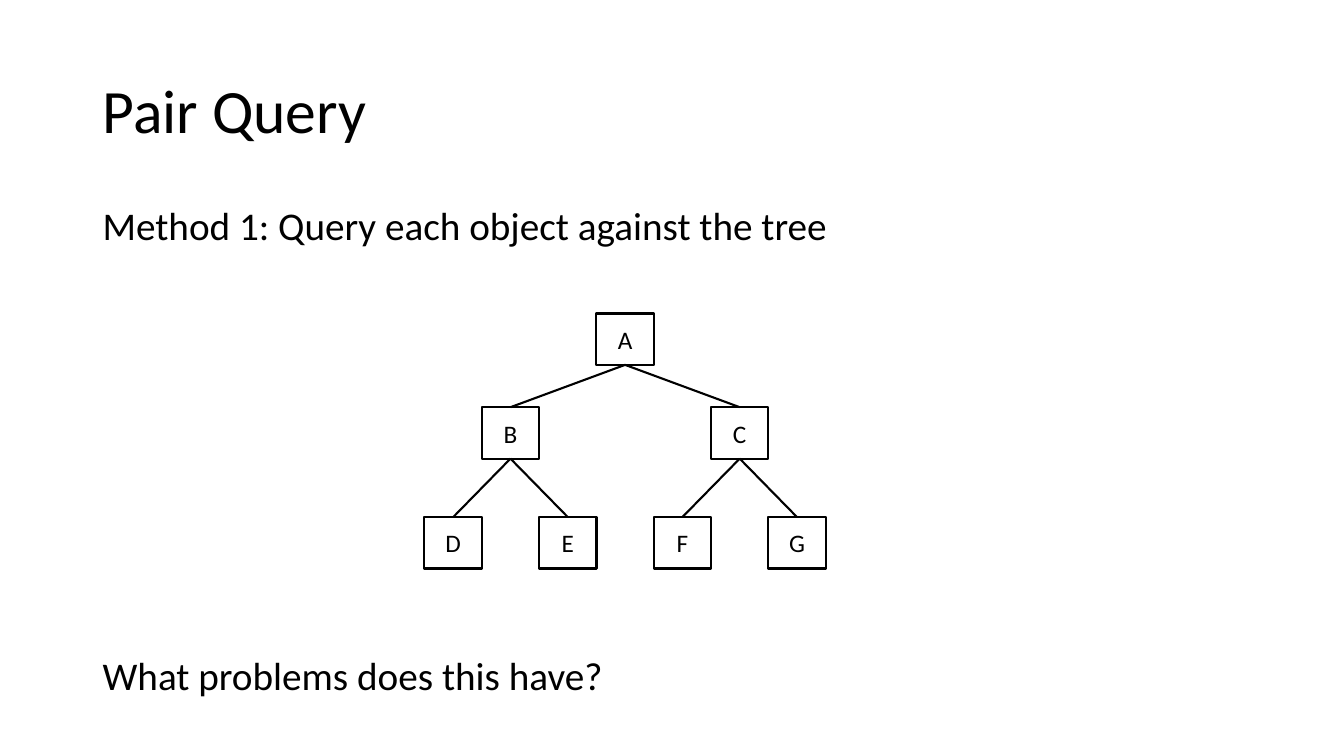
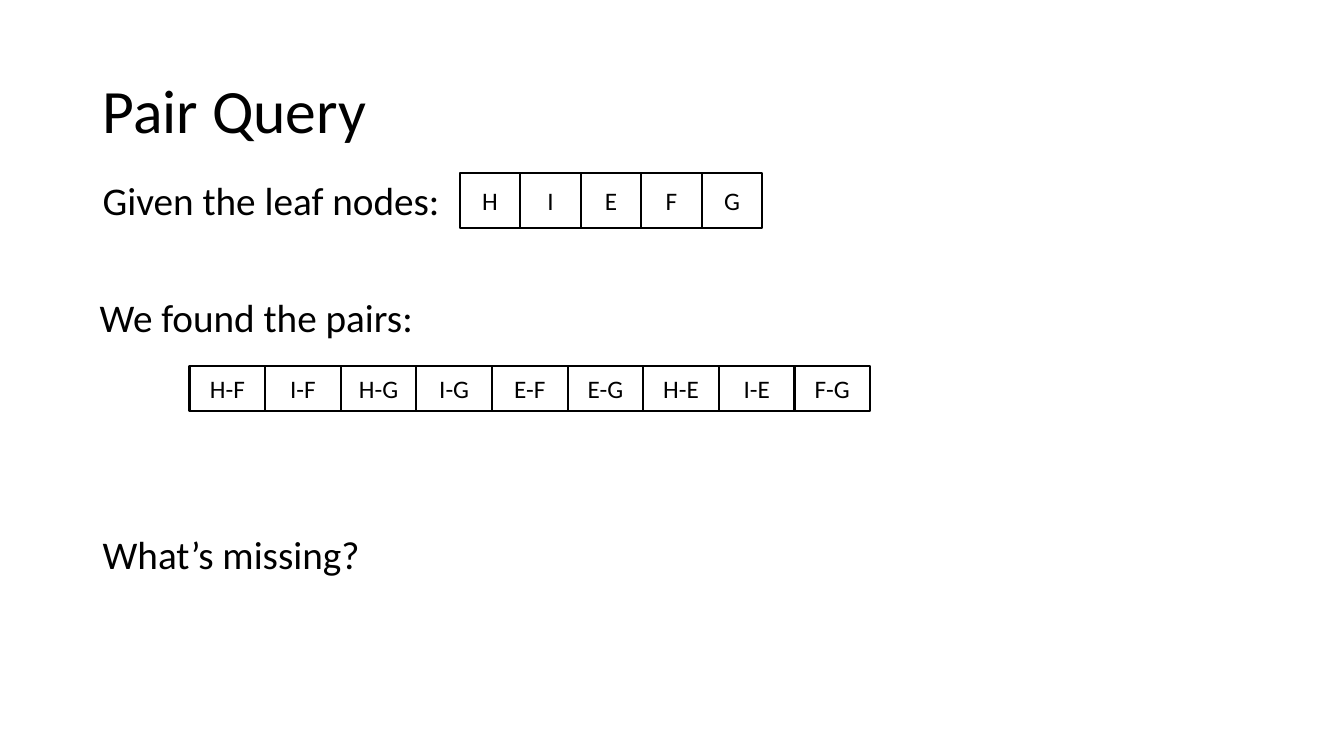
from lxml.etree import SubElement
from pptx import Presentation
from pptx.dml.color import RGBColor
from pptx.enum.shapes import MSO_CONNECTOR, MSO_SHAPE
from pptx.enum.text import MSO_ANCHOR, PP_ALIGN
from pptx.oxml.ns import qn
from pptx.util import Inches, Pt

BLACK = RGBColor(0x00, 0x00, 0x00)
WHITE = RGBColor(0xFF, 0xFF, 0xFF)
FONT = "Calibri"
LINE_WIDTH = Pt(1.5)
TITLE_SIZE, BODY_SIZE, NODE_SIZE = 44, 28, 18

MARGIN, CONTENT_WIDTH = 0.92, 11.5
STATEMENT_HEIGHT = 0.7
SITE_TOP, SITE_BOTTOM = 0, 2

TREE_LEVELS = ["A", "BC", "DEFG"]
LEVEL_TOPS = [0, 0.93, 2.02]
LEAVES = ["H", "I", "E", "F", "G"]
PAIRS = ["H-F", "I-F", "H-G", "I-G", "E-F", "E-G", "H-E", "I-E", "F-G"]


def add_text(paragraph, text, size):
    run = paragraph.add_run()
    run.text = text
    run.font.name = FONT
    run.font.size = Pt(size)
    run.font.color.rgb = BLACK


def add_statement(slide, text, left, top, width=CONTENT_WIDTH,
                  height=STATEMENT_HEIGHT, size=BODY_SIZE, anchor=MSO_ANCHOR.TOP):
    box = slide.shapes.add_textbox(
        Inches(left), Inches(top), Inches(width), Inches(height))
    frame = box.text_frame
    frame.word_wrap = True
    frame.vertical_anchor = anchor
    paragraph = frame.paragraphs[0]
    paragraph.line_spacing = 0.9
    add_text(paragraph, text, size)


def add_titled_slide(prs, title):
    slide = prs.slides.add_slide(prs.slide_layouts[6])
    slide.background.fill.solid()
    slide.background.fill.fore_color.rgb = WHITE
    add_statement(slide, title, MARGIN, 0.4, height=1.45,
                  size=TITLE_SIZE, anchor=MSO_ANCHOR.MIDDLE)
    return slide


def add_node(group, label, left, top, width, height):
    node = group.shapes.add_shape(
        MSO_SHAPE.RECTANGLE, Inches(left), Inches(top), Inches(width), Inches(height))
    node.shadow.inherit = False
    node.fill.background()
    node.line.color.rgb = BLACK
    node.line.width = LINE_WIDTH
    frame = node.text_frame
    frame.margin_left = frame.margin_right = 0
    frame.vertical_anchor = MSO_ANCHOR.MIDDLE
    paragraph = frame.paragraphs[0]
    paragraph.alignment = PP_ALIGN.CENTER
    add_text(paragraph, label, NODE_SIZE)
    return node


def add_edge(group, parent, child):
    """Join the bottom centre of parent to the top centre of child."""
    edge = group.shapes.add_connector(
        MSO_CONNECTOR.STRAIGHT,
        parent.left + parent.width // 2, parent.top + parent.height,
        child.left + child.width // 2, child.top)
    edge.begin_connect(parent, SITE_BOTTOM)
    edge.end_connect(child, SITE_TOP)
    edge.line.color.rgb = BLACK
    edge.line.width = LINE_WIDTH
    SubElement(edge.line._get_or_add_ln().getparent(), qn("a:effectLst"))


def add_tree(slide, left, top, width, node_width=0.57, node_height=0.51):
    """Draw a full binary tree, each parent centred above its children."""
    group = slide.shapes.add_group_shape()
    leaf_count = len(TREE_LEVELS[-1])
    pitch = (width - node_width) / (leaf_count - 1)
    levels = []
    for labels, level_top in zip(TREE_LEVELS, LEVEL_TOPS):
        span = leaf_count / len(labels)
        levels.append([
            add_node(group, label, left + pitch * (span * i + (span - 1) / 2),
                     top + level_top, node_width, node_height)
            for i, label in enumerate(labels)])
    for parents, children in zip(levels, levels[1:]):
        for i, child in enumerate(children):
            add_edge(group, parents[i // 2], child)


def add_node_row(slide, labels, left, top, width, height):
    group = slide.shapes.add_group_shape()
    node_width = width / len(labels)
    for i, label in enumerate(labels):
        add_node(group, label, left + i * node_width, top, node_width, height)


def build_method_slide(prs):
    slide = add_titled_slide(prs, "Pair Query")
    add_statement(slide, "Method 1: Query each object against the tree", MARGIN, 2)
    add_tree(slide, 4.21, 3.11, 3.98)
    add_statement(slide, "What problems does this have?", MARGIN, 6.47)


def build_pairs_slide(prs):
    slide = add_titled_slide(prs, "Pair Query")
    statement_width = 3.83
    add_statement(slide, "Given the leaf nodes:", MARGIN, 1.75, statement_width)
    add_node_row(slide, LEAVES, 4.56, 1.72, 3, 0.54)
    add_statement(slide, "We found the pairs:", 0.89, 2.91, statement_width)
    add_node_row(slide, PAIRS, 1.88, 3.63, 6.75, 0.45)
    add_statement(slide, "What’s missing?", MARGIN, 5.26, statement_width)


def main():
    prs = Presentation()
    prs.slide_width = Inches(13.33)
    prs.slide_height = Inches(7.5)
    build_method_slide(prs)
    build_pairs_slide(prs)
    prs.save("out.pptx")


if __name__ == "__main__":
    main()
